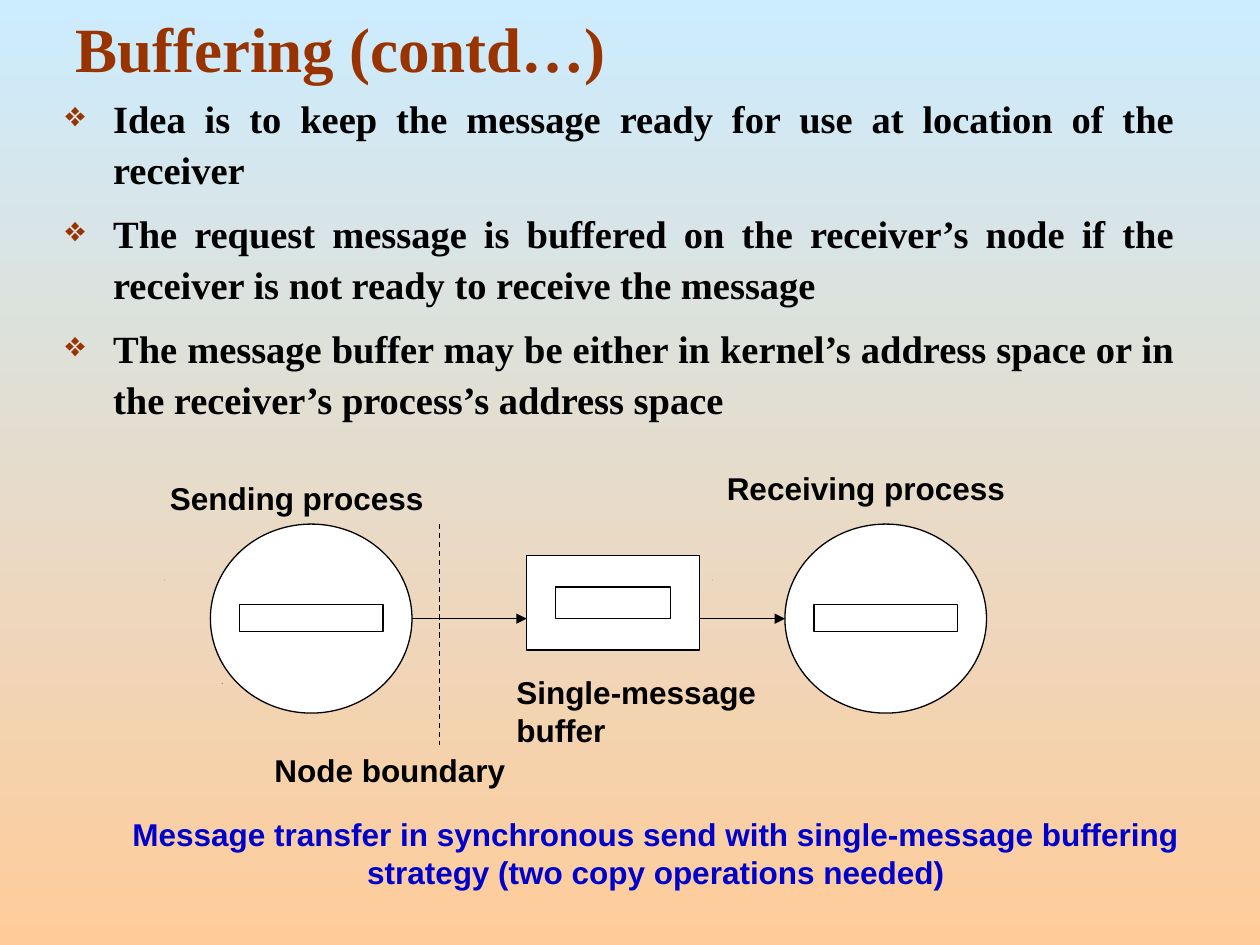
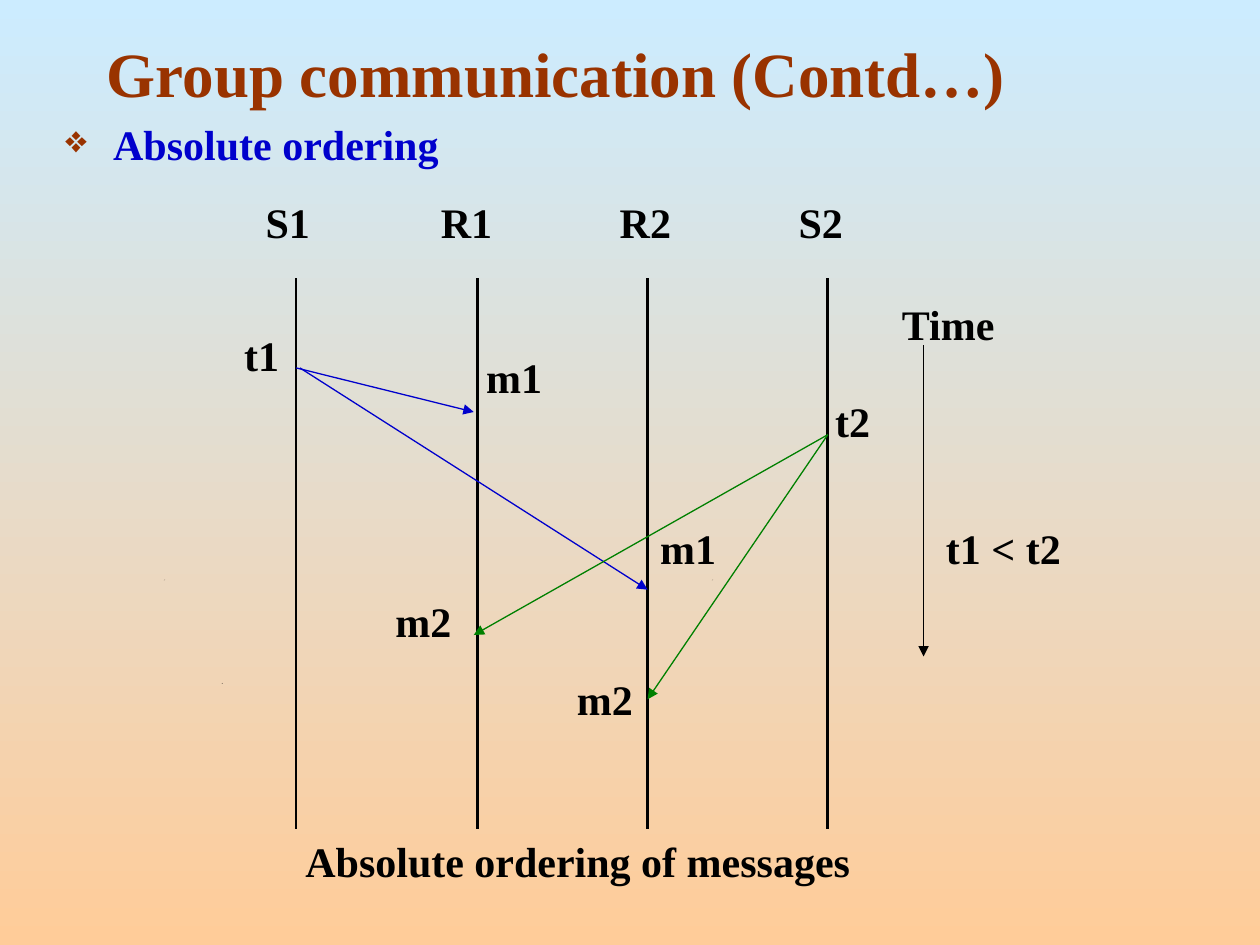
from lxml import etree
from pptx import Presentation
from pptx.dml.color import RGBColor
from pptx.enum.dml import MSO_LINE
from pptx.enum.shapes import MSO_CONNECTOR, MSO_SHAPE
from pptx.enum.text import MSO_ANCHOR, PP_ALIGN
from pptx.oxml.ns import qn
from pptx.util import Inches, Pt

STRAIGHT = MSO_CONNECTOR.STRAIGHT
DASH = MSO_LINE.DASH
ELLIPSE, RECTANGLE = MSO_SHAPE.OVAL, MSO_SHAPE.RECTANGLE
TOP, MIDDLE, BOTTOM = MSO_ANCHOR.TOP, MSO_ANCHOR.MIDDLE, MSO_ANCHOR.BOTTOM
LEFT, CENTER, JUSTIFY = PP_ALIGN.LEFT, PP_ALIGN.CENTER, PP_ALIGN.JUSTIFY

SKY, PEACH = "CCECFF", "FFCC99"
BLACK, WHITE, RUST, BLUE, GREEN = "000000", "FFFFFF", "993300", "0000CC", "008000"
SERIF, SANS = "Times New Roman", "Arial"
COLUMNS, ROWS = 100, 75
SPECKS = [(17.6, 54.2), (13, 46), (56.5, 46)]


def color(value):
    return RGBColor.from_string(value)


class SlideBuilder:
    """Draws on the current page; lengths are grid columns and rows."""

    def __init__(self):
        self.deck = Presentation()
        self.deck.slide_width, self.deck.slide_height = Inches(10), Inches(7.5)
        self.page = None

    def x(self, columns):
        return round(self.deck.slide_width * columns / COLUMNS)

    def y(self, rows):
        return round(self.deck.slide_height * rows / ROWS)

    def area(self, left, top, width, height):
        return self.x(left), self.y(top), self.x(width), self.y(height)

    def new_page(self):
        self.page = self.deck.slides.add_slide(self.deck.slide_layouts[6])
        fill = self.page.background.fill
        fill.gradient()
        fill.gradient_angle = 270
        for stop, shade in zip(fill.gradient_stops, (SKY, PEACH)):
            stop.color.rgb = color(shade)
        for left, top in SPECKS:
            self.speck(left, top)

    def speck(self, left, top):
        outline = self.page.shapes.build_freeform(self.x(left), self.y(top + 0.05))
        outline.add_line_segments([(self.x(left + 0.1), self.y(top)),
                                   (self.x(left + 0.05), self.y(top + 0.05))])
        shape = outline.convert_to_shape()
        shape.shadow.inherit = False
        shape.fill.solid()
        shape.fill.fore_color.rgb = color(BLACK)
        shape.line.fill.background()

    def text(self, area, lines, size=24, font=SERIF, shade=BLACK, align=LEFT, anchor=TOP):
        frame = self.page.shapes.add_textbox(*self.area(*area)).text_frame
        frame.word_wrap = True
        frame.vertical_anchor = anchor
        frame.text = "\n".join(lines)
        for para in frame.paragraphs:
            para.alignment = align
            for span in para.runs:
                span.font.name, span.font.size, span.font.bold = font, Pt(size), True
                span.font.color.rgb = color(shade)
        return frame

    def title(self, area, words, anchor):
        self.text(area, [words], 36, shade=RUST, anchor=anchor)

    def label(self, area, words, **style):
        self.text(area, [words], **style)

    def bullets(self, area, lines, size, spacing, gap=0, shade=BLACK):
        frame = self.text(area, lines, size, shade=shade, align=JUSTIFY)
        for index, para in enumerate(frame.paragraphs):
            properties = para._p.get_or_add_pPr()
            properties.set("marL", str(Inches(0.38)))
            properties.set("indent", str(-Inches(0.38)))
            bullet_color = etree.SubElement(properties, qn("a:buClr"))
            etree.SubElement(bullet_color, qn("a:srgbClr"), val=RUST)
            etree.SubElement(properties, qn("a:buSzPct"), val="90000")
            etree.SubElement(properties, qn("a:buChar"), char="❖")
            para.line_spacing = spacing
            para.space_before = Pt(gap if index else 0)

    def shape(self, kind, area):
        shape = self.page.shapes.add_shape(kind, *self.area(*area))
        shape.shadow.inherit = False
        shape.fill.solid()
        shape.fill.fore_color.rgb = color(WHITE)
        shape.line.color.rgb = color(BLACK)
        shape.line.width = Pt(0.75)

    def line(self, start, end, shade=BLACK, width=0.75, dash=None, arrow=False):
        connector = self.page.shapes.add_connector(
            STRAIGHT, self.x(start[0]), self.y(start[1]), self.x(end[0]), self.y(end[1]))
        connector.line.color.rgb = color(shade)
        connector.line.width = Pt(width)
        if dash:
            connector.line.dash_style = dash
        if arrow:
            etree.SubElement(connector.line._get_or_add_ln(), qn("a:tailEnd"), type="triangle")
        etree.SubElement(connector._element.spPr, qn("a:effectLst"))

    def arrow(self, start, end, shade=BLACK):
        self.line(start, end, shade, arrow=True)


def buffering(slide):
    slide.new_page()
    slide.bullets((4.2, 6.7, 90, 52.8), [
        "Idea is to keep the message ready for use at location of the receiver",
        "The request message is buffered on the receiver’s node if the receiver is not ready "
        "to receive the message",
        "The message buffer may be either in kernel’s address space or in the receiver’s "
        "process’s address space",
    ], size=22, spacing=1.1, gap=7.7)
    slide.title((5, 0, 90, 7.5), "Buffering (contd…)", MIDDLE)

    # Processes, each holding a message
    for left in (16.7, 62.3):
        slide.shape(ELLIPSE, (left, 41.6, 16, 15))
        slide.shape(RECTANGLE, (left + 2.3, 48, 11.4, 2.1))

    # Buffer between them
    slide.shape(RECTANGLE, (41.8, 44.1, 13.7, 7.5))
    slide.shape(RECTANGLE, (44.1, 46.6, 9.1, 2.5))
    for start, end in ((32.7, 41.8), (55.5, 62.3)):
        slide.arrow((start, 49.1), (end, 49.1))
    slide.line((34.9, 41.6), (34.9, 59.1), dash=DASH)

    # Labels and caption
    for area, words in (
        ((12.5, 37.5, 27.5, 4), "Sending process"),
        ((56.7, 36.7, 33.3, 4), "Receiving process"),
        ((40, 52.9, 23.3, 7), "Single-message buffer"),
        ((20.8, 59.1, 25, 4), "Node boundary"),
    ):
        slide.label(area, words, size=18, font=SANS)
    slide.label((5.8, 64.2, 92.5, 7),
                "Message transfer in synchronous send with single-message buffering strategy "
                "(two copy operations needed)",
                size=18, font=SANS, shade=BLUE, align=CENTER)


def group_communication(slide):
    slide.new_page()
    slide.bullets((4.2, 8.3, 93.3, 64.2), ["Absolute ordering"], 24, 1.15, shade=BLUE)
    slide.title((7.5, 2.5, 88.3, 6.7), "Group communication (Contd…)", BOTTOM)

    # Timelines of senders and receivers
    sender_1, receiver_1, receiver_2, sender_2 = timelines = (23.5, 37.9, 51.4, 65.7)
    for column in timelines:
        slide.line((column, 22.1), (column, 65.8), width=1.5)
    for index, words in enumerate(("S1", "R1", "R2", "S2")):
        slide.label((20.1 + 14.2 * index - (0.3 if index else 0), 15.1, 8.4, 5), words)

    # Messages m1 and m2, then the time axis
    slide.arrow((sender_1, 29.2), (receiver_1 - 0.3, 32.7), BLUE)
    slide.arrow((sender_1 + 0.3, 29.2), (receiver_2, 46.8), BLUE)
    slide.arrow((sender_2, 34.5), (receiver_1 - 0.3, 50.4), GREEN)
    slide.arrow((sender_2, 34.5), (receiver_2, 55.5), GREEN)
    slide.arrow((73.3, 27.4), (73.3, 52.1))

    # Labels and caption
    for left, top, width, words in (
        (18.4, 25.7, 6.7, "t1"),
        (65.3, 30.9, 6.8, "t2"),
        (37.6, 27.4, 8.2, "m1"),
        (51.4, 41, 7.4, "m1"),
        (30.4, 46.8, 10, "m2"),
        (44.8, 53, 9.1, "m2"),
        (70.6, 23.2, 10.7, "Time"),
        (74.1, 41, 12.7, "t1 < t2"),
    ):
        slide.label((left, top, width, 5), words)
    slide.label((15.6, 65.8, 60.5, 5), "Absolute ordering of messages", align=CENTER)


def main():
    slide = SlideBuilder()
    buffering(slide)
    group_communication(slide)
    slide.deck.save("out.pptx")


if __name__ == "__main__":
    main()
